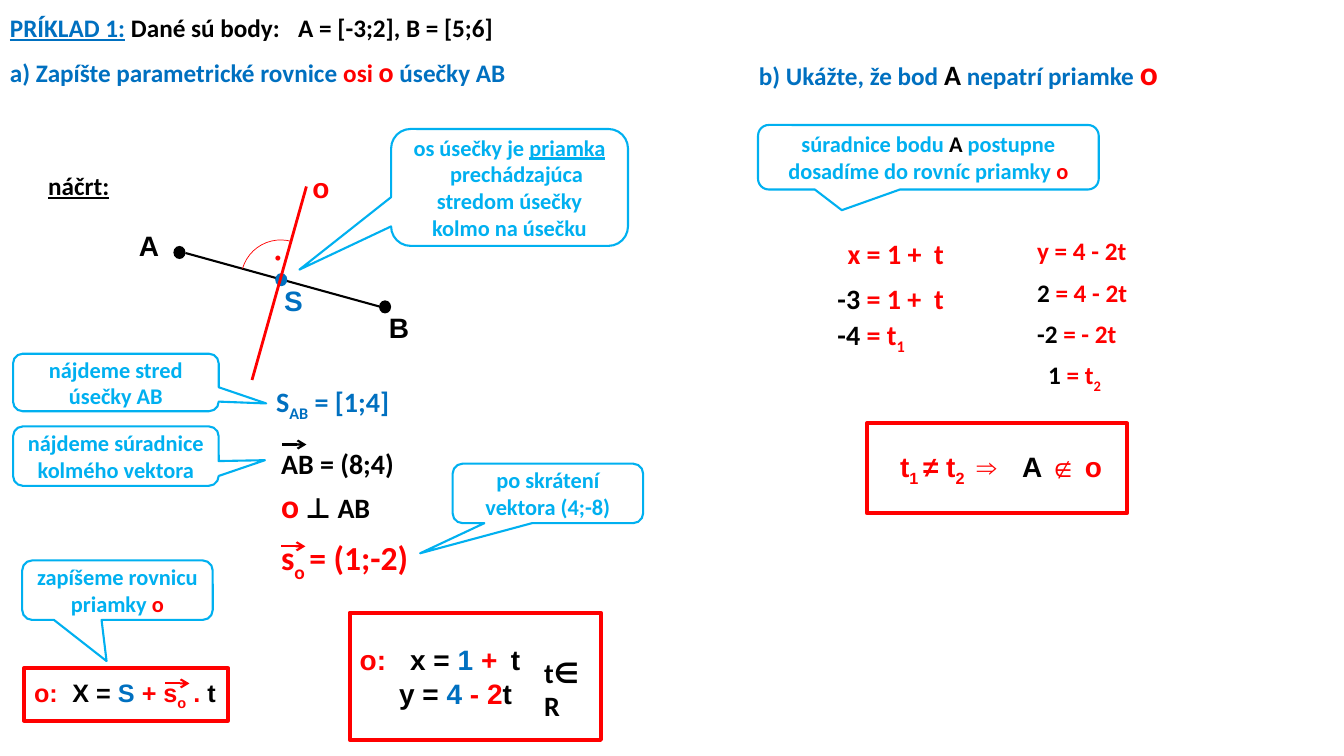
from collections import namedtuple
from lxml.etree import SubElement
from pptx import Presentation
from pptx.dml.color import RGBColor
from pptx.enum.shapes import MSO_CONNECTOR, MSO_SHAPE
from pptx.enum.text import MSO_ANCHOR, PP_ALIGN
from pptx.oxml.ns import qn
from pptx.util import Inches, Pt

# The grid has square cells of a tenth of an inch: 133.3 columns, 75 rows.
CELL = Inches(0.1)
COLUMNS, ROWS = 133.33, 75
COLORS = {"black": "000000", "blue": "0070C0", "red": "FF0000", "sky": "00B0F0"}
SUB = {"baseline": "-25000"}
UNDER = {"underline": True}

Region = namedtuple("Region", "page left top")


def cells(count):
    return round(count * CELL)


def place(region, left, top, width, height):
    return [cells(n) for n in (region.left + left, region.top + top, width, height)]


def color(name):
    return RGBColor.from_string(COLORS[name])


def write(frame, lines, size, font="Calibri", align=PP_ALIGN.LEFT, tabs=(), indents=()):
    """Fill a frame; a line is a list of spans (text, color, optional format)."""
    for index, line in enumerate(lines):
        para = frame.paragraphs[0] if index == 0 else frame.add_paragraph()
        para.alignment = align
        properties = para._p.get_or_add_pPr()
        if index < len(indents):
            properties.set("indent", str(cells(indents[index])))
        if tabs:
            stops = SubElement(properties, qn("a:tabLst"))
            for stop in tabs:
                SubElement(stops, qn("a:tab"), pos=str(cells(stop)), algn="l")
        for text, tint, *extra in line:
            span = para.add_run()
            span.text = text
            look = {"name": font, "size": Pt(size), "bold": True}
            look.update(extra[0] if extra else {})
            baseline = look.pop("baseline", None)
            for key, value in look.items():
                setattr(span.font, key, value)
            span.font.color.rgb = color(tint)
            if baseline:
                span._r.get_or_add_rPr().set("baseline", baseline)


def add_text(region, at, spans, size=20, font="Calibri", tabs=(), right=0):
    box = region.page.shapes.add_textbox(*place(region, *at))
    box.text_frame.word_wrap = True
    box.text_frame.margin_right = cells(right)
    write(box.text_frame, [spans], size, font, tabs=tabs)


def add_outline(region, kind, at, tint, weight):
    shape = region.page.shapes.add_shape(kind, *place(region, *at))
    shape.shadow.inherit = False
    shape.fill.background()
    shape.line.color.rgb = color(tint)
    shape.line.width = Pt(weight)
    shape.text_frame.word_wrap = True
    shape.text_frame.vertical_anchor = MSO_ANCHOR.MIDDLE
    return shape


def add_frame(region, at, lines, size=20, tabs=(), indents=(), left=1):
    shape = add_outline(region, MSO_SHAPE.RECTANGLE, at, "red", 3)
    shape.text_frame.margin_left = cells(left)
    shape.text_frame.margin_right = 0
    write(shape.text_frame, lines, size, "Arial", tabs=tabs, indents=indents)


def add_callout(region, at, tail, lines, indents=()):
    shape = add_outline(region, MSO_SHAPE.ROUNDED_RECTANGULAR_CALLOUT, at, "sky", 1.5)
    for index, share in enumerate(tail):
        shape.adjustments[index] = share
    write(shape.text_frame, lines, 16, align=PP_ALIGN.CENTER, indents=indents)


def add_line(region, start, end, tint, weight, arrow=False):
    ends = [cells(n) for x, y in (start, end) for n in (region.left + x, region.top + y)]
    line = region.page.shapes.add_connector(MSO_CONNECTOR.STRAIGHT, *ends)
    line.line.color.rgb = color(tint)
    line.line.width = Pt(weight)
    if arrow:
        SubElement(line.line._get_or_add_ln(), qn("a:tailEnd"), type="arrow")
    SubElement(line._element.spPr, qn("a:effectLst"))


def add_vector_arrow(region, left, top, tint):
    add_line(region, (left, top), (left + 2.4, top), tint, 1.5, arrow=True)


def add_point(region, left, top, tint):
    dot = add_outline(region, MSO_SHAPE.OVAL, (left, top, 1.2, 1.3), tint, 0.75)
    dot.line.fill.background()
    dot.fill.solid()
    dot.fill.fore_color.rgb = color(tint)


def build_task(region):
    add_text(region, (0, 0.7, 50.1, 4),
             [("PRÍKLAD 1:", "blue", UNDER), (" ", "blue"),
              ("Dané sú body:\tA = [-3;2], B = [5;6]", "black")], 18, tabs=[28.6])
    add_text(region, (0, 4.9, 51.6, 4.4),
             [("a) Zapíšte parametrické rovnice ", "blue"), ("osi ", "red"),
              ("o", "red", {"size": Pt(20)}), (" úsečky AB", "blue")], 18)


def build_sketch(region):
    add_text(region, (0, 3.6, 8.7, 4), [("náčrt:", "black", UNDER)], 18)
    add_line(region, (14.6, 12.3), (33.8, 17.6), "black", 1.5)
    add_point(region, 13.4, 11.6, "black")
    add_point(region, 33.8, 17, "black")
    add_point(region, 23.5, 14.3, "blue")
    add_callout(region, (35, 0, 23.5, 11.6), (-0.887, 0.703, 0.167),
                [[("os úsečky je ", "sky"), ("priamka", "sky", UNDER)],
                 [("prechádzajúca stredom úsečky kolmo na úsečku", "sky")]],
                indents=(0, 1.4))
    add_line(region, (26.6, 5.7), (21.2, 24.9), "red", 2)
    for name, left, top, tint in (("A", 9, 9.4, "black"), ("B", 33.8, 17.5, "black"),
                                  ("S", 23.4, 14.8, "blue"), ("o", 26.2, 3.6, "red")):
        add_text(region, (left, top, 4.7, 4.4), [(name, tint)], font="Arial")
    right_angle = add_outline(region, MSO_SHAPE.ARC, (20.1, 11, 7.9, 7.9), "red", 0.5)
    right_angle.rotation = 286.4
    write(right_angle.text_frame, [[(".", "red")]], 24, align=PP_ALIGN.CENTER)


def build_steps(region):
    add_text(region, (25.1, 2.6, 13.6, 4.4),
             [("S", "blue"), ("AB", "blue", SUB), (" = [1;4]", "blue")])
    add_text(region, (25.6, 8.7, 14, 4.4), [("AB = (8;4)", "black")])
    add_vector_arrow(region, 26.7, 9, "black")
    add_text(region, (25.6, 12.5, 10.9, 5),
             [("o", "red", {"size": Pt(24)}), (" ⊥ AB", "black")])
    add_text(region, (25.6, 17.7, 15.7, 5.3),
             [("s", "red"), ("o ", "red", SUB), ("= (1;-2)", "red")], 24)
    add_vector_arrow(region, 26.6, 19.1, "red")
    for at, tail, text in (
            ((0, 0, 20.4, 5.7), (0.731, 0.365, 0.167), "nájdeme stred úsečky AB"),
            ((0, 7.2, 20.4, 5.9), (0.725, 0.069, 0.167),
             "nájdeme súradnice kolmého vektora"),
            ((43.6, 10.9, 18.9, 5.9), (-0.671, 1.007, 0.167),
             "po skrátení vektora (4;-8)")):
        add_callout(region, at, tail, [[(text, "sky")]])


def build_equation(region):
    add_callout(region, (0, 0, 18.9, 5.9), (-0.057, 1.192, 0.167),
                [[("zapíšeme rovnicu priamky ", "sky"), ("o", "red")]])
    add_frame(region, (0.2, 10.7, 20.2, 5.2),
              [[("o:\t", "red"), ("X = ", "black"), ("S ", "blue"), ("+ s", "red"),
                ("o", "red", SUB), (" . ", "red"), ("t", "black")]], 18, tabs=[3.8])
    add_vector_arrow(region, 14.2, 12.2, "red")
    add_frame(region, (32.5, 5.2, 24.9, 12.6),
              [[("o:\t", "red"), ("x = ", "black"), ("1", "blue"), (" +\t", "red"),
                ("t", "black")],
               [("y = ", "black"), ("4", "blue"), (" - 2", "red"), ("t", "black")]],
              tabs=[4.2, 14.4], indents=(0, 3.9))
    add_text(region, (50.8, 8.9, 6.6, 4.4), [("t∈R", "black")], right=1)


def build_proof(region):
    add_text(region, (0, 0, 41.8, 5),
             [("b) Ukážte, že bod ", "blue"), ("A", "black", {"size": Pt(20)}),
              (" nepatrí priamke ", "blue"), ("o", "red", {"size": Pt(24)})], 18)
    add_callout(region, (0.9, 7.7, 33.8, 6.4), (-0.254, 0.821, 0.167),
                [[("súradnice bodu ", "sky"), ("A", "black"),
                  (" postupne dosadíme do rovníc priamky ", "sky"), ("o", "red")]])
    add_text(region, (8.8, 18.3, 11.7, 4.4), [("x = 1 +\tt", "red")], tabs=[8.6])
    add_text(region, (7.8, 22.7, 12.6, 4.4),
             [("-3 ", "black"), ("= 1 +\tt", "red")], tabs=[9.6])
    add_text(region, (7.8, 26.3, 8.9, 4.4),
             [("-4 ", "black"), ("= t", "red"), ("1", "red", SUB)])
    for row, (shift, spans) in enumerate((
            (0, [("y = 4 - 2t", "red")]),
            (0, [("2 ", "black"), ("= 4 - 2t", "red")]),
            (0, [("-2 ", "black"), ("= - 2t", "red")]),
            (1.1, [("1 ", "black"), ("= t", "red"), ("2", "red", SUB)]))):
        add_text(region, (27.6 + shift, 18.2 + 4.1 * row, 11, 4), spans, 18)
    add_frame(region, (11.7, 37.3, 25.8, 8.9),
              [[("t", "red"), ("1 ", "red", SUB), ("≠ t", "red"), ("2", "red", SUB),
                ("\t⇒\t", "red"), ("A ", "black"), ("∉ o", "red")]],
              tabs=[7.6, 12.1], left=3.3)


def main():
    deck = Presentation()
    deck.slide_width, deck.slide_height = cells(COLUMNS), cells(ROWS)
    page = deck.slides.add_slide(deck.slide_layouts[6])
    for build, left, top in ((build_task, 0, 0), (build_sketch, 3.8, 12.8),
                             (build_steps, 1.3, 35.1), (build_equation, 2.2, 55.6),
                             (build_proof, 74.3, 4.7)):
        build(Region(page, left, top))
    deck.save("out.pptx")


if __name__ == "__main__":
    main()
